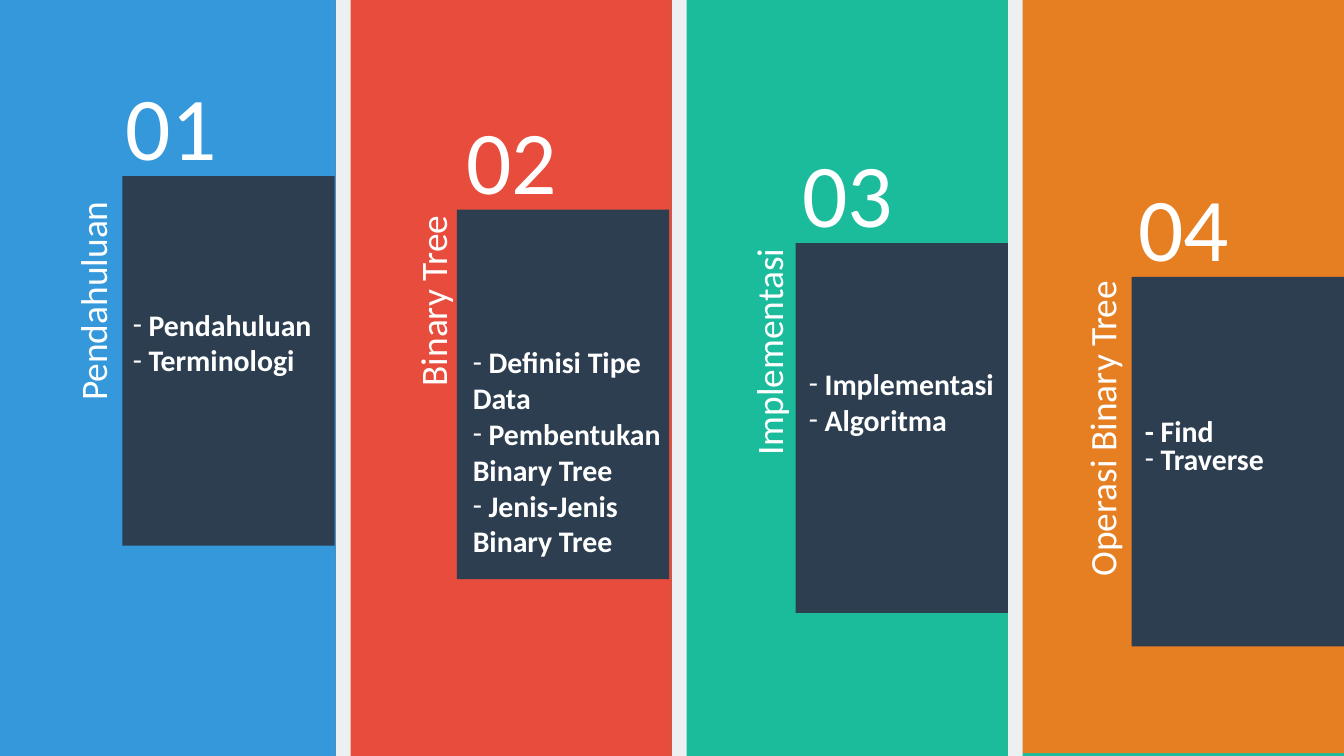
from lxml.etree import SubElement
from pptx import Presentation
from pptx.dml.color import RGBColor
from pptx.enum.shapes import MSO_SHAPE
from pptx.enum.text import MSO_AUTO_SIZE, PP_ALIGN
from pptx.oxml.ns import qn
from pptx.util import Inches, Pt

WIDTH = 10
HEIGHT = WIDTH * 9 / 16
COLUMN = 2.5
DIVIDER = 0.11
CARD_WIDTH, CARD_HEIGHT = 1.58, 2.75
FIRST_CARD_TOP, CARD_STEP = 1.31, 0.25
FONT = "Calibri"
BLUE, RED, GREEN, ORANGE = "3498DB", "E74C3C", "1ABC9C", "E67E22"
NAVY, PALE, WHITE = "2C3E50", "ECF0F1", "FFFFFF"

# heading, (left, top, width) of its unrotated box, card left, number left,
# (left, top, height) of the topic list, topics
SECTIONS = [
    ("Pendahuluan", (-0.16, 2.02, 1.7), 0.91, 0.83, (0.89, 2.23, 0.64),
     ["Pendahuluan", "Terminologi"]),
    ("Binary Tree", (2.48, 2.02, 1.48), 3.4, 3.36, (3.42, 2.51, 1.99),
     ["Definisi Tipe Data", "Pembentukan Binary Tree", "Jenis-Jenis Binary Tree"]),
    ("Implementasi", (4.78, 2.4, 1.88), 5.92, 5.86, (5.92, 2.67, 0.64),
     ["Implementasi", "Algoritma"]),
    ("Operasi Binary Tree", (6.99, 2.97, 2.42), 8.42, 8.36, (8.42, 3.07, 0.54),
     ["- Find", "Traverse"]),
]


def color(value):
    return RGBColor.from_string(value)


def add_dash(para):
    """Give the paragraph a white hanging dash as its bullet."""
    properties = para._p.get_or_add_pPr()
    properties.set("marL", "0")
    properties.set("indent", str(-Inches(0.11)))
    bullet_color = SubElement(properties, qn("a:buClr"))
    SubElement(bullet_color, qn("a:srgbClr"), val=WHITE)
    SubElement(properties, qn("a:buFont"), typeface=FONT)
    SubElement(properties, qn("a:buChar"), char="-")


class Agenda:
    def __init__(self, deck):
        self.page = deck.slides.add_slide(deck.slide_layouts[6])

    def background(self, fill):
        self.page.background.fill.solid()
        self.page.background.fill.fore_color.rgb = color(fill)

    def block(self, left, top, width, height, fill):
        shape = self.page.shapes.add_shape(
            MSO_SHAPE.RECTANGLE, Inches(left), Inches(top), Inches(width), Inches(height))
        shape.shadow.inherit = False
        shape.fill.solid()
        shape.fill.fore_color.rgb = color(fill)
        shape.line.fill.background()

    def text_box(self, left, top, width, height):
        box = self.page.shapes.add_textbox(
            Inches(left), Inches(top), Inches(width), Inches(height))
        box.text_frame.word_wrap = True
        box.text_frame.auto_size = MSO_AUTO_SIZE.SHAPE_TO_FIT_TEXT
        return box

    def style(self, para, size, bold=False):
        para.font.name = FONT
        para.font.size = Pt(size)
        para.font.bold = bold
        para.font.color.rgb = color(WHITE)

    def label(self, text, left, top, width, height, size, rotation=0):
        box = self.text_box(left, top, width, height)
        box.rotation = rotation
        para = box.text_frame.paragraphs[0]
        para.text = text
        para.alignment = PP_ALIGN.CENTER
        self.style(para, size)

    def topics(self, items, left, top, height, line_spacing=None):
        frame = self.text_box(left, top, 1.67, height).text_frame
        for index, item in enumerate(items):
            para = frame.add_paragraph() if index else frame.paragraphs[0]
            if line_spacing:
                para.line_spacing = line_spacing
            if item.startswith("-"):
                para.text = item
            else:
                para.text = " " + item
                add_dash(para)
            self.style(para, 16, bold=True)


def main():
    deck = Presentation()
    deck.slide_width, deck.slide_height = Inches(WIDTH), Inches(HEIGHT)
    agenda = Agenda(deck)
    agenda.background(BLUE)

    # Each panel runs to the right edge and is covered by the next one.
    for index, fill in enumerate([RED, GREEN, ORANGE], start=1):
        left = index * COLUMN
        top = -0.02 if fill == ORANGE else 0
        agenda.block(left, top, WIDTH - left, HEIGHT, fill)
    for index in range(1, len(SECTIONS)):
        agenda.block(index * COLUMN, 0, DIVIDER, HEIGHT, PALE)

    for index, section in enumerate(SECTIONS):
        heading, heading_place, card_left, number_left, list_place, items = section
        card_top = FIRST_CARD_TOP + index * CARD_STEP
        agenda.block(card_left, card_top, CARD_WIDTH, CARD_HEIGHT, NAVY)
        agenda.label(f"{index + 1:02}", number_left, card_top - 0.83, 0.89, 0.91, 48)
        tight = 0.8 if index == len(SECTIONS) - 1 else None
        agenda.topics(items, *list_place, line_spacing=tight)
        agenda.label(heading, *heading_place, 0.44, 20, rotation=270)

    deck.save("out.pptx")


if __name__ == "__main__":
    main()
